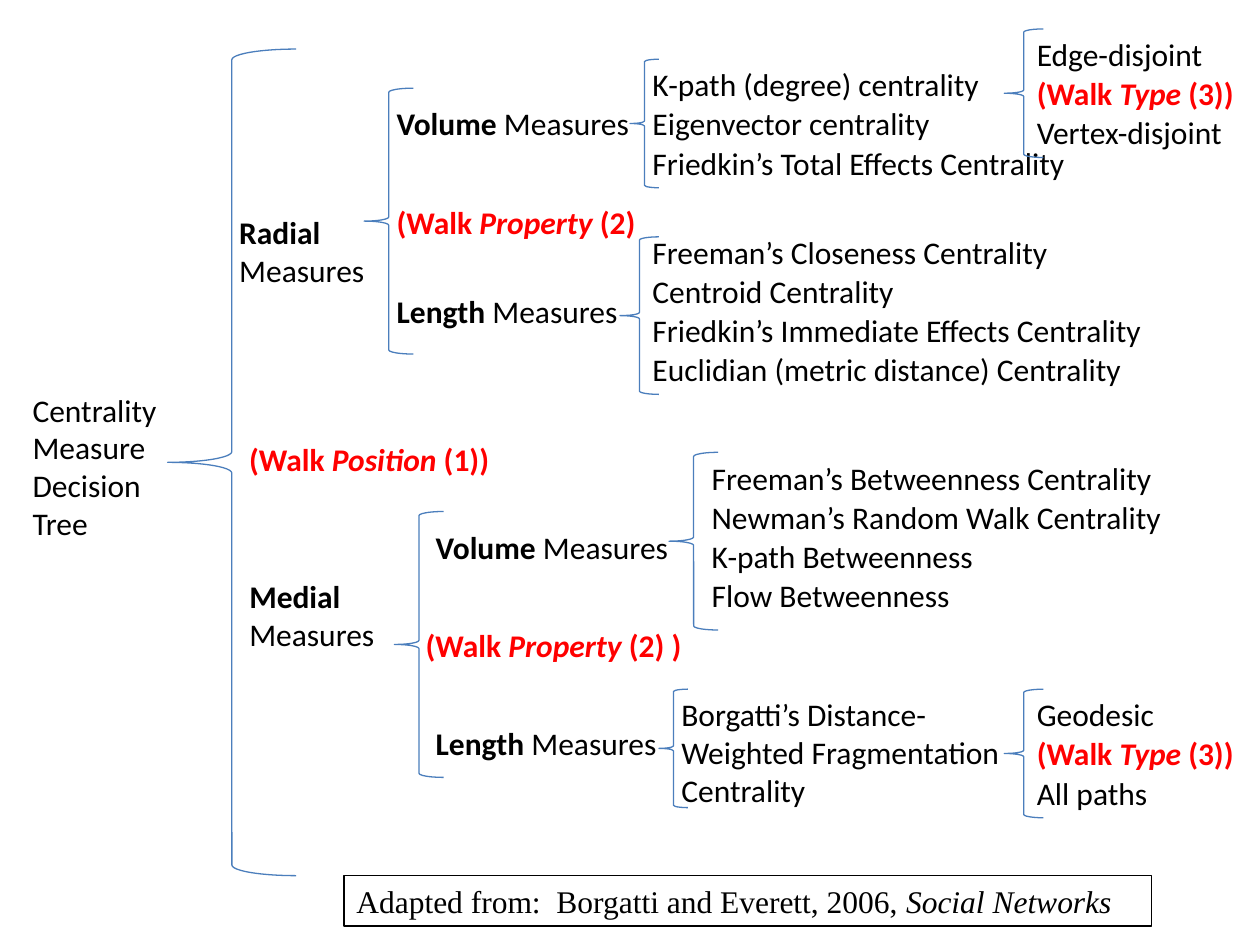
from dataclasses import dataclass

from pptx import Presentation
from pptx.dml.color import RGBColor
from pptx.enum.shapes import MSO_SHAPE as Shape
from pptx.enum.text import MSO_ANCHOR as Anchor, MSO_AUTO_SIZE as AutoSize, PP_ALIGN as Align
from pptx.util import Inches, Pt


@dataclass(frozen=True)
class Theme:
    body_font: str = "Calibri"
    source_font: str = "Times New Roman"
    size: Pt = Pt(18)
    line_width: Pt = Pt(0.75)
    text: RGBColor = RGBColor(0x00, 0x00, 0x00)
    question: RGBColor = RGBColor(0xFF, 0x00, 0x00)
    brace: RGBColor = RGBColor(0x4B, 0x7E, 0xBC)


class TreeSlide:
    LINE_STEP = 0.31
    LABEL_HEIGHT = 0.4

    def __init__(self, slide, theme):
        self.slide = slide
        self.theme = theme

    def outline(self, kind, bounds, color):
        shape = self.slide.shapes.add_shape(kind, *map(Inches, bounds))
        shape.shadow.inherit = False
        shape.fill.background()
        shape.line.color.rgb = color
        shape.line.width = self.theme.line_width
        return shape

    def brace(self, *bounds):
        self.outline(Shape.LEFT_BRACE, bounds, self.theme.brace)

    def fill_text(self, box, paragraphs, font=None, color=None):
        """Fill a box; each paragraph is a list of (text, style), style holding b and/or i."""
        frame = box.text_frame
        frame.word_wrap = True
        frame.auto_size = AutoSize.SHAPE_TO_FIT_TEXT
        frame.vertical_anchor = Anchor.TOP
        for index, spans in enumerate(paragraphs):
            para = frame.add_paragraph() if index else frame.paragraphs[0]
            para.alignment = Align.LEFT
            para.font.name = font or self.theme.body_font
            para.font.size = self.theme.size
            para.font.color.rgb = color or self.theme.text
            for text, style in spans:
                span = para.add_run()
                span.text = text
                if "b" in style:
                    span.font.bold = True
                if "i" in style:
                    span.font.italic = True

    def label(self, bounds, *paragraphs, color=None):
        box = self.slide.shapes.add_textbox(*map(Inches, bounds))
        self.fill_text(box, paragraphs, color=color)
        return box

    def measures(self, left, top, width, lines):
        """Stack one-line labels; None leaves a row free."""
        for row, line in enumerate(lines):
            if line:
                bounds = (left, top + row * self.LINE_STEP, width, self.LABEL_HEIGHT)
                self.label(bounds, [(line, "")])

    def branch(self, left, top, width, name):
        bounds = (left, top, width, self.LABEL_HEIGHT)
        self.label(bounds, [(name, "b"), (" Measures", "")])

    def question(self, left, top, width, topic, ending, wrap=True):
        bounds = (left, top, width, self.LABEL_HEIGHT)
        spans = [("(Walk ", "b"), (topic, "bi"), (ending, "b")]
        box = self.label(bounds, spans, color=self.theme.question)
        box.text_frame.word_wrap = wrap

    def source(self, bounds, *spans):
        box = self.outline(Shape.RECTANGLE, bounds, self.theme.text)
        self.fill_text(box, [spans], font=self.theme.source_font)


def main():
    deck = Presentation()
    deck.slide_width, deck.slide_height = Inches(10), Inches(7.5)
    blank_layout = deck.slide_layouts[6]
    page = TreeSlide(deck.slides.add_slide(blank_layout), Theme())

    # Root
    page.brace(1.33, 0.39, 1.02, 6.56)
    page.label((0.16, 3.05, 1.41, 1.31), [("Centrality Measure", "")], [("Decision Tree", "")])
    page.question(1.88, 3.44, 2.13, "Position", " (1))", wrap=False)

    # Radial half
    page.label((1.8, 1.64, 1.25, 1.01), [("Radial", "b")], [("Measures", "")])
    page.brace(2.89, 0.7, 0.39, 2.11)
    page.branch(3.05, 0.78, 2.66, "Volume")
    page.question(3.05, 1.56, 2.27, "Property", " (2)")
    page.branch(3.05, 2.27, 2.11, "Length")
    page.brace(5, 0.47, 0.23, 1.02)
    page.measures(5.08, 0.47, 4.38, [
        "K-path (degree) centrality",
        "Eigenvector centrality",
        "Friedkin’s Total Effects Centrality",
    ])
    page.brace(4.92, 1.88, 0.31, 1.25)
    page.measures(5.08, 1.8, 4.38, [
        "Freeman’s Closeness Centrality",
        "Centroid Centrality",
        "Friedkin’s Immediate Effects Centrality",
        "Euclidian (metric distance) Centrality",
    ])

    # Medial half
    page.label((1.88, 4.53, 1.25, 0.71), [("Medial", "b")], [("Measures", "")])
    page.brace(3.13, 4.06, 0.39, 2.11)
    page.branch(3.36, 4.14, 2.66, "Volume")
    page.question(3.28, 4.92, 2.42, "Property", " (2) )")
    page.branch(3.36, 5.7, 2.03, "Length")
    page.brace(5.31, 3.59, 0.39, 1.41)
    page.measures(5.55, 3.59, 3.91, [
        "Freeman’s Betweenness Centrality",
        "Newman’s Random Walk Centrality",
        "K-path Betweenness",
        "Flow Betweenness",
    ])
    page.brace(5.23, 5.47, 0.23, 0.94)
    page.label((5.31, 5.47, 2.73, 1.01),
               [("Borgatti’s Distance-Weighted Fragmentation Centrality", "")])

    # Walk types, one group per half
    for top, first, last in [(0.23, "Edge-disjoint", "Vertex-disjoint"),
                             (5.47, "Geodesic", "All paths")]:
        page.brace(7.97, top, 0.31, 1.02)
        page.measures(8.13, top, 1.72, [first, None, last])
        page.question(8.13, top + page.LINE_STEP, 1.88, "Type", " (3))")

    page.source((2.73, 6.95, 6.41, 0.4),
                ("Adapted from:  Borgatti and Everett, 2006, ", ""),
                ("Social Networks", "i"))
    deck.save("out.pptx")


if __name__ == "__main__":
    main()
